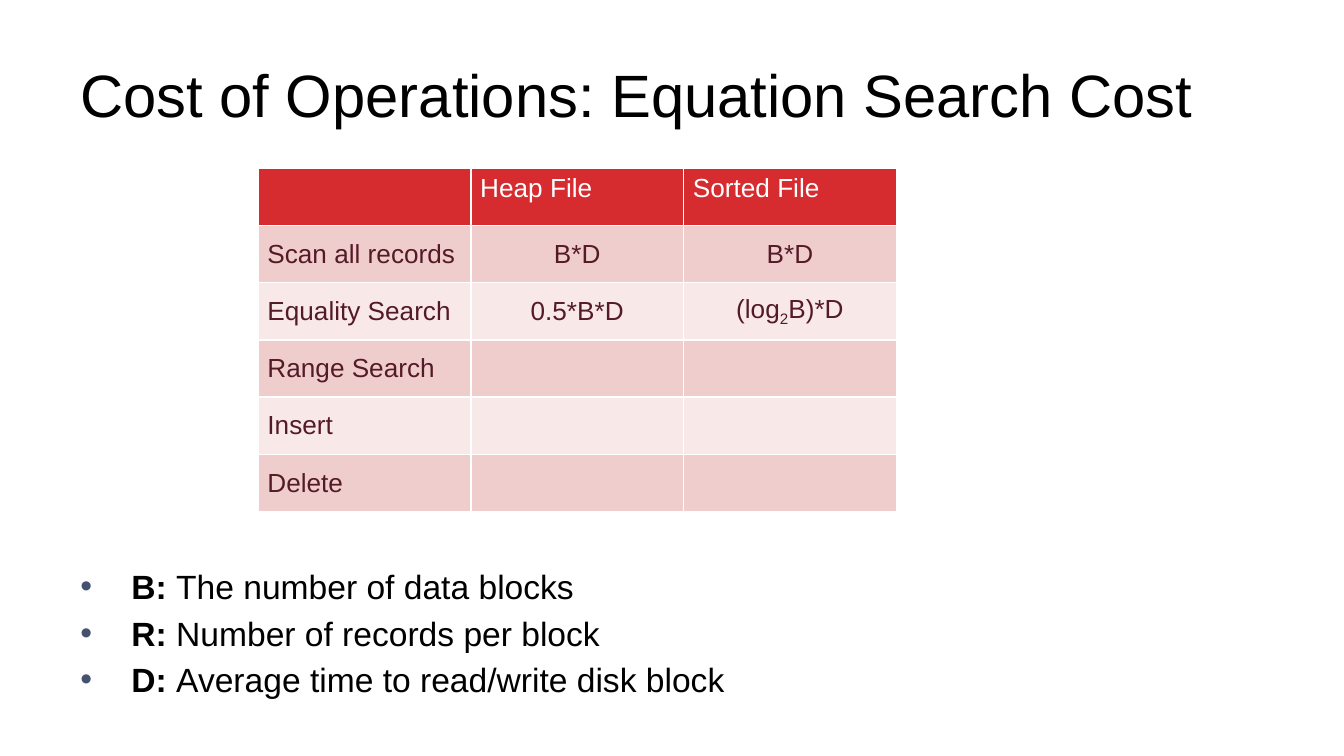
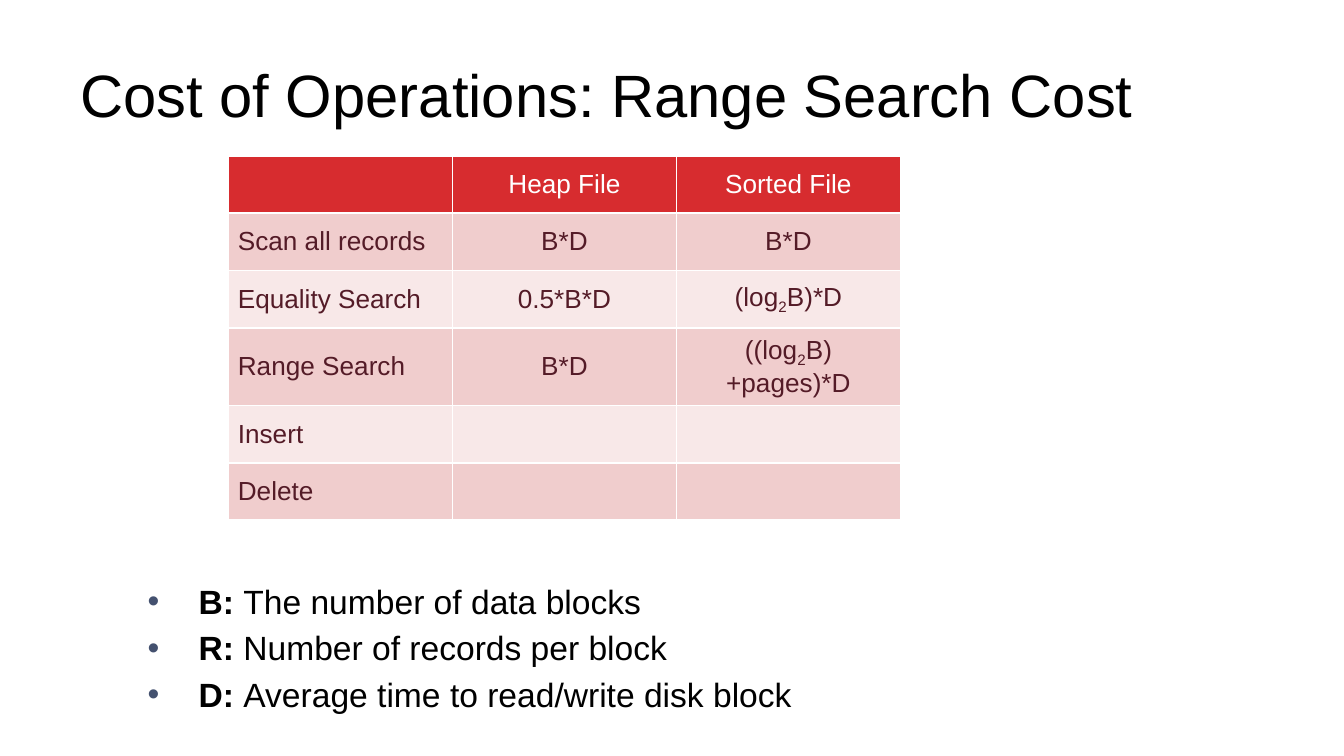
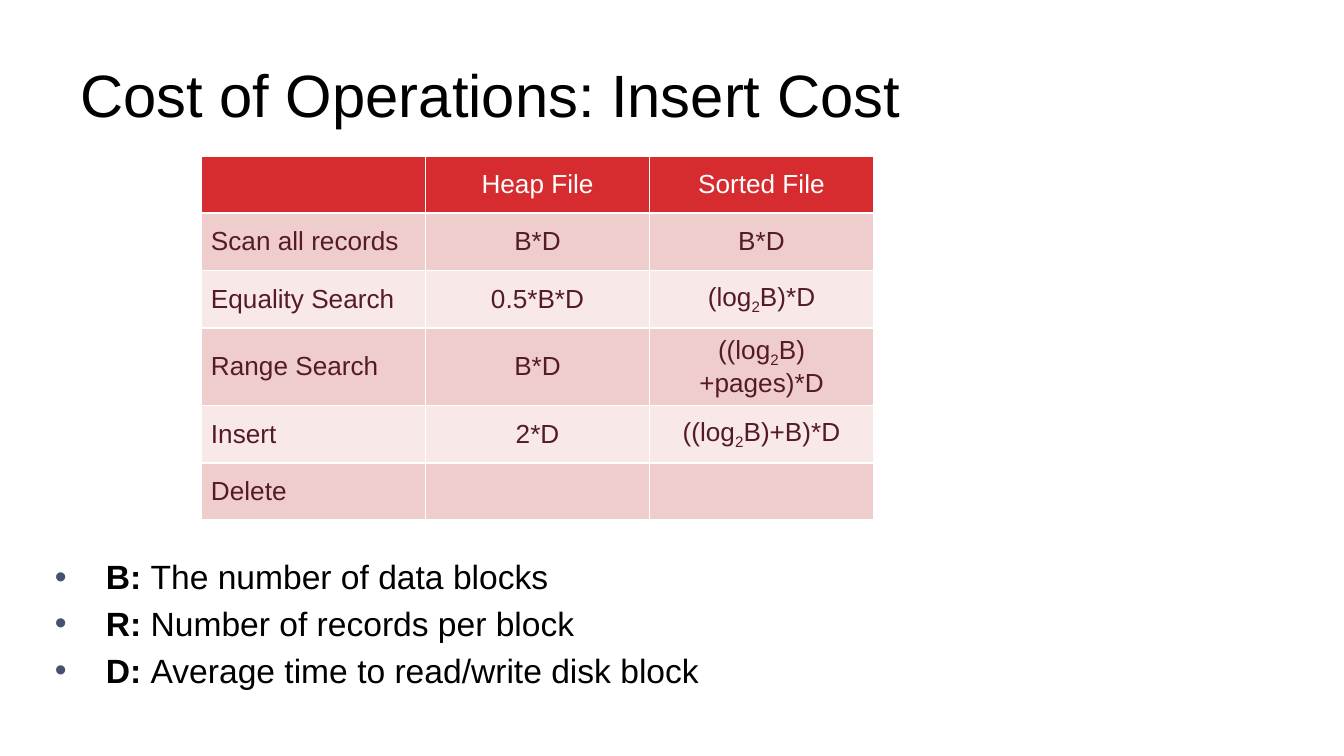
from dataclasses import dataclass
from typing import Any

from pptx import Presentation
from pptx import util as u
from pptx.dml import color
from pptx.enum import text
from pptx.oxml import parse_xml
from pptx.oxml import ns


@dataclass(frozen=True)
class Theme:
    font: str = "Arial"
    ink: str = "000000"
    paper: str = "FFFFFF"
    bullet: str = "44516F"
    header: str = "D72C2F"
    bands: tuple[str, str] = ("F0CDCD", "F8E8E8")
    cell_ink: str = "541B27"
    title_size: float = 32
    legend_size: float = 18
    cell_size: float = 14
    rule: float = 1


@dataclass(frozen=True)
class Operation:
    name: str
    heap: str
    sorted: str


@dataclass(frozen=True)
class CostSlide:
    title: str
    solved: int
    table_left: float
    table_top: float
    table_width: float
    legend_left: float
    legend_top: float
    centred_header: bool = True


THEME = Theme()
HEADINGS = ("", "Heap File", "Sorted File")
OPERATIONS = (
    Operation("Scan all records", "B*D", "B*D"),
    Operation("Equality Search", "0.5*B*D", "(log_2_B)*D"),
    Operation("Range Search", "B*D", "((log_2_B)+pages)*D"),
    Operation("Insert", "2*D", "((log_2_B)+B)*D"),
    Operation("Delete", "", ""),
)
LEGEND = {
    "B: ": "The number of data blocks",
    "R: ": "Number of records per block",
    "D: ": "Average time to read/write disk block",
}
COST_SLIDES = (
    CostSlide("Cost of Operations: Equation Search Cost", 2, 1.92, 1.25, 4.75, 0.5, 4.15, False),
    CostSlide("Cost of Operations: Range Search Cost", 3, 1.7, 1.16, 5, 1, 4.26),
    CostSlide("Cost of Operations: Insert Cost", 4, 1.5, 1.16, 5, 0.31, 4.08),
)


def apply(target: Any, values: dict[str, Any]) -> None:
    for name, value in values.items():
        setattr(target, name, value)


def add_run(paragraph: Any, words: str, size: float, ink: str, bold: bool = False) -> Any:
    run = paragraph.add_run()
    run.text = words
    apply(run.font, {"name": THEME.font, "size": u.Pt(size), "bold": bold})
    run.font.color.rgb = color.RGBColor.from_string(ink)
    return run


def add_frame(slide: Any, left: float, top: float, width: float, height: float) -> Any:
    box = slide.shapes.add_textbox(*map(u.Inches, (left, top, width, height)))
    box.text_frame.word_wrap = True
    return box.text_frame


def draw_title(slide: Any, words: str) -> None:
    frame = add_frame(slide, 0.5, 0.23, 9, 0.94)
    frame.vertical_anchor = text.MSO_ANCHOR.MIDDLE
    add_run(frame.paragraphs[0], words, THEME.title_size, THEME.ink)


def add_bullet(paragraph: Any) -> None:
    properties = paragraph._p.get_or_add_pPr()
    indent = u.Inches(0.38)
    properties.set("marL", str(indent))
    properties.set("indent", str(-indent))
    for body in (
        f'<a:buClr {ns.nsdecls("a")}><a:srgbClr val="{THEME.bullet}"/></a:buClr>',
        f'<a:buFont {ns.nsdecls("a")} typeface="{THEME.font}"/>',
        f'<a:buChar {ns.nsdecls("a")} char="•"/>',
    ):
        properties.append(parse_xml(body))


def draw_legend(slide: Any, left: float, top: float) -> None:
    frame = add_frame(slide, left, top, 9, 3.71)
    frame.margin_top = u.Inches(0.06)
    for index, (symbol, meaning) in enumerate(LEGEND.items()):
        paragraph = frame.add_paragraph() if index else frame.paragraphs[0]
        add_bullet(paragraph)
        if index:
            paragraph.space_before = u.Pt(3.4)
        add_run(paragraph, symbol, THEME.legend_size, THEME.ink, bold=True)
        add_run(paragraph, meaning, THEME.legend_size, THEME.ink)


def add_borders(cell: Any) -> None:
    properties = cell._tc.get_or_add_tcPr()
    for index, side in enumerate(("lnL", "lnR", "lnT", "lnB")):
        properties.insert(index, parse_xml(
            f'<a:{side} {ns.nsdecls("a")} w="{u.Pt(THEME.rule)}"><a:solidFill>'
            f'<a:srgbClr val="{THEME.paper}"/></a:solidFill></a:{side}>'
        ))


def fill_cell(cell: Any, words: str, fill: str, ink: str, centred: bool, middle: bool) -> None:
    apply(cell, {
        "margin_left": u.Inches(0.07),
        "margin_right": u.Inches(0.07),
        "margin_top": u.Inches(0.04),
        "margin_bottom": u.Inches(0.04),
        "vertical_anchor": text.MSO_ANCHOR.MIDDLE if middle else text.MSO_ANCHOR.TOP,
    })
    cell.fill.solid()
    cell.fill.fore_color.rgb = color.RGBColor.from_string(fill)
    add_borders(cell)
    if not words:
        return
    paragraph = cell.text_frame.paragraphs[0]
    paragraph.alignment = text.PP_ALIGN.CENTER if centred else text.PP_ALIGN.LEFT
    for index, part in enumerate(words.split("_")):
        run = add_run(paragraph, part, THEME.cell_size, ink)
        if index % 2:
            run._r.get_or_add_rPr().set("baseline", "-25000")


def draw_costs(slide: Any, page: CostSlide) -> None:
    place = map(u.Inches, (page.table_left, page.table_top, page.table_width, 2.56))
    costs = slide.shapes.add_table(len(OPERATIONS) + 1, len(HEADINGS), *place).table
    costs.horz_banding = False
    for column, heading in enumerate(HEADINGS):
        fill_cell(costs.cell(0, column), heading, THEME.header, THEME.paper,
                  page.centred_header, page.centred_header)
    for index, operation in enumerate(OPERATIONS):
        answers = (operation.heap, operation.sorted) if index < page.solved else ("", "")
        for column, words in enumerate((operation.name, *answers)):
            fill_cell(costs.cell(index + 1, column), words, THEME.bands[index % 2],
                      THEME.cell_ink, column > 0, True)


def main() -> None:
    deck = Presentation()
    width = u.Inches(10)
    apply(deck, {"slide_width": width, "slide_height": width * 9 // 16})
    for page in COST_SLIDES:
        slide = deck.slides.add_slide(deck.slide_layouts[6])
        draw_title(slide, page.title)
        draw_legend(slide, page.legend_left, page.legend_top)
        draw_costs(slide, page)
    deck.save("out.pptx")


if __name__ == "__main__":
    main()
